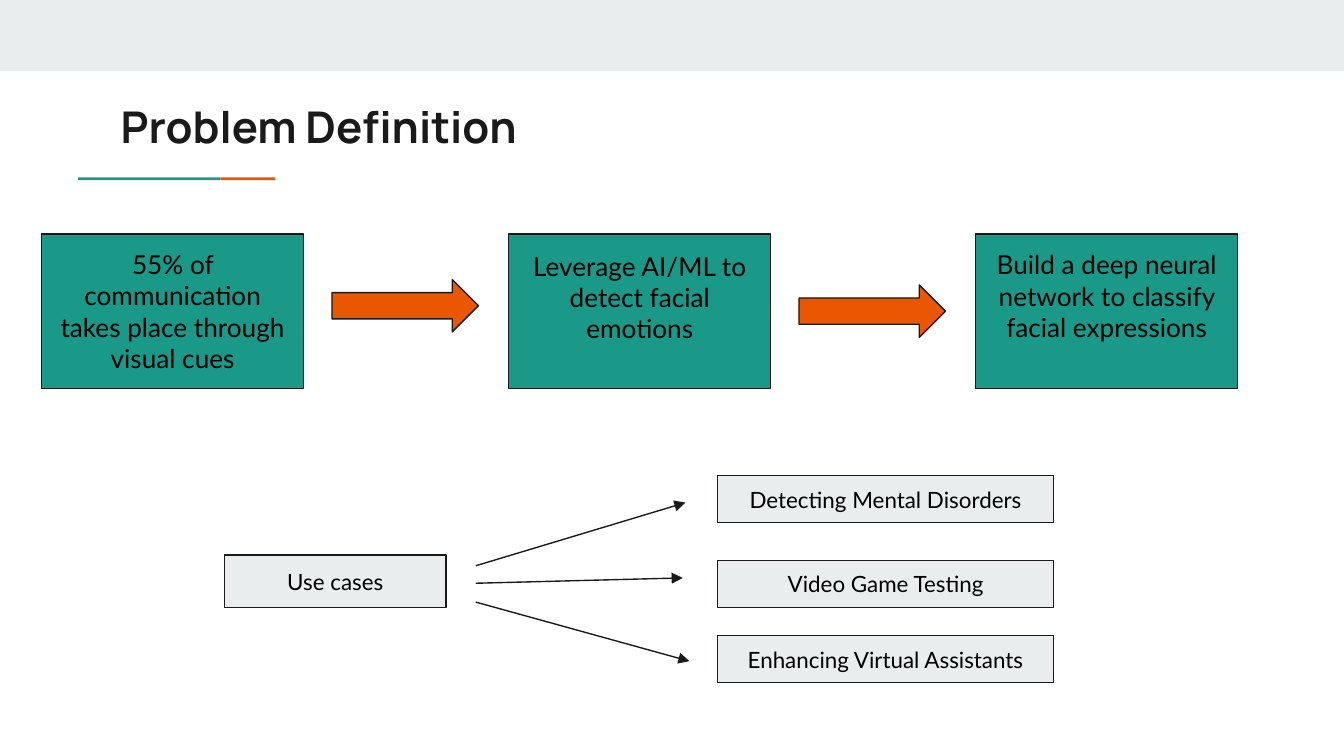
from lxml.etree import SubElement
from pptx import Presentation
from pptx.dml.color import RGBColor
from pptx.enum.shapes import MSO_CONNECTOR, MSO_SHAPE
from pptx.enum.text import MSO_ANCHOR, PP_ALIGN
from pptx.oxml.ns import qn
from pptx.util import Inches, Pt

# Content
TITLE = "Problem Definition"
# text, vertical anchor, bottom inset
STEPS = [
    ("55% of communication takes place through visual cues", MSO_ANCHOR.MIDDLE, 0.1),
    ("Leverage AI/ML to detect facial emotions", MSO_ANCHOR.BOTTOM, 0.33),
    ("Build a deep neural network to classify facial expressions", MSO_ANCHOR.MIDDLE, 0.33),
]
STEP_ARROW_TOPS = [2.08, 2.12]
# text, box top, arrow start y, arrow end point
USE_CASES = [
    ("Detecting Mental Disorders", 3.54, 4.21, (5.1, 3.74)),
    ("Video Game Testing", 4.17, 4.34, (5.08, 4.3)),
    ("Enhancing Virtual Assistants", 4.73, 4.48, (5.13, 4.92)),
]

# Style and grid
TEAL, ORANGE, PALE, INK, BLACK = "1A9988", "EB5600", "E9EDEE", "1A1A1A", "000000"
WIDTH = 10
HEIGHT = WIDTH * 9 / 16
STEP_LEFT, LAST_STEP_LEFT, STEP_TOP = 0.31, 7.26, 1.74
STEP_PITCH = (LAST_STEP_LEFT - STEP_LEFT) / (len(STEPS) - 1)
STEP_ARROW_LEFT = 2.47
RULE_TOP, RULE_HEIGHT = 1.32, 0.02
USE_CASE_LEFT, USE_ARROW_LEFT = 5.34, 3.54


def color(value):
    return RGBColor.from_string(value)


def add_block(kind, box, fill, outlined=True):
    shape = slide.shapes.add_shape(kind, *map(Inches, box))
    shape.shadow.inherit = False
    shape.fill.solid()
    shape.fill.fore_color.rgb = color(fill)
    if outlined:
        shape.line.color.rgb = color(INK)
        shape.line.width = Pt(0.75)
    else:
        shape.line.fill.background()
    return shape


def set_text(shape, text, size, font="Lato", ink=BLACK, bold=False,
             align=PP_ALIGN.CENTER, anchor=MSO_ANCHOR.MIDDLE, bottom=0.1):
    frame = shape.text_frame
    frame.word_wrap = True
    frame.vertical_anchor = anchor
    frame.margin_left = frame.margin_right = frame.margin_top = Inches(0.1)
    frame.margin_bottom = Inches(bottom)
    paragraph = frame.paragraphs[0]
    paragraph.text = text
    paragraph.alignment = align
    paragraph.font.name = font
    paragraph.font.size = Pt(size)
    paragraph.font.bold = bold
    paragraph.font.color.rgb = color(ink)


def add_arrow(start, end):
    arrow = slide.shapes.add_connector(
        MSO_CONNECTOR.STRAIGHT, *map(Inches, (*start, *end)))
    arrow.line.color.rgb = color(INK)
    arrow.line.width = Pt(0.75)
    properties = arrow._element.spPr
    SubElement(properties.find(qn("a:ln")), qn("a:tailEnd"), type="triangle")
    SubElement(properties, qn("a:effectLst"))


presentation = Presentation()
presentation.slide_width, presentation.slide_height = Inches(WIDTH), Inches(HEIGHT)
slide = presentation.slides.add_slide(presentation.slide_layouts[6])

# Top band and two-colour rule
for box, fill in [
    ((0, 0, WIDTH, 0.53), PALE),
    ((0.58, RULE_TOP, 1.06, RULE_HEIGHT), TEAL),
    ((1.64, RULE_TOP, 0.41, RULE_HEIGHT), ORANGE),
]:
    add_block(MSO_SHAPE.RECTANGLE, box, fill, outlined=False)

# Title
title = slide.shapes.add_textbox(*map(Inches, (0.8, 0.64, 8.41, 0.59)))
set_text(title, TITLE, 23.4, "Manrope", INK, True, PP_ALIGN.LEFT)

# Three steps with block arrows between them
for index, (text, anchor, bottom) in enumerate(STEPS):
    left = STEP_LEFT + index * STEP_PITCH
    step = add_block(MSO_SHAPE.RECTANGLE, (left, STEP_TOP, 1.95, 1.15), TEAL)
    set_text(step, text, 14, anchor=anchor, bottom=bottom)
for index, top in enumerate(STEP_ARROW_TOPS):
    left = STEP_ARROW_LEFT + index * STEP_PITCH
    add_block(MSO_SHAPE.RIGHT_ARROW, (left, top, 1.09, 0.39), ORANGE)

# Use cases fanning out from their label
label = add_block(MSO_SHAPE.RECTANGLE, (1.67, 4.13, 1.65, 0.39), PALE)
set_text(label, "Use cases", 12)
for text, top, start_y, end in USE_CASES:
    add_arrow((USE_ARROW_LEFT, start_y), end)
    use_case = add_block(MSO_SHAPE.RECTANGLE, (USE_CASE_LEFT, top, 2.5, 0.35), PALE)
    set_text(use_case, text, 12)

presentation.save("out.pptx")
